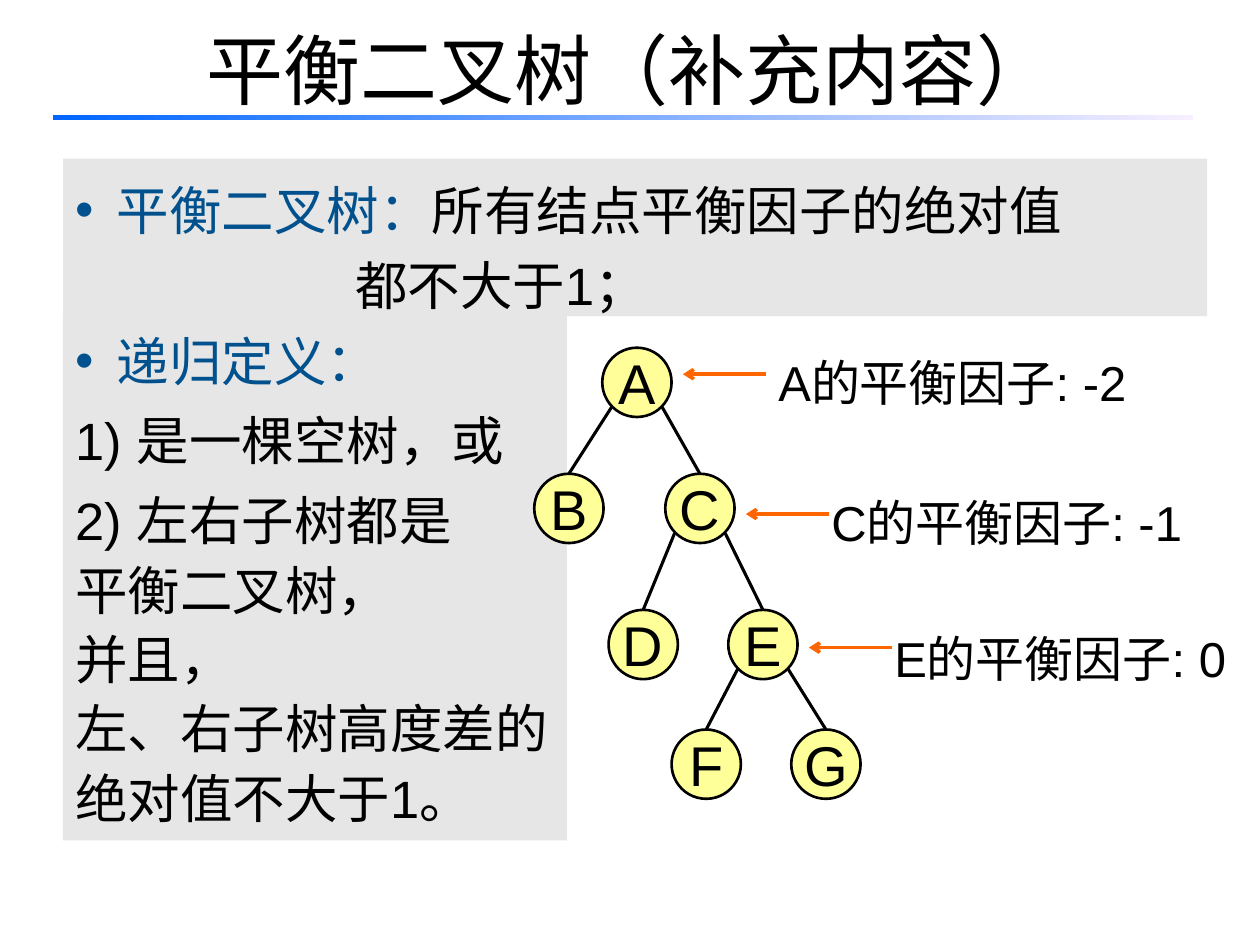
from dataclasses import dataclass

from lxml.etree import SubElement
from pptx import Presentation
from pptx.dml.color import RGBColor
from pptx.enum.shapes import MSO_CONNECTOR as Connector, MSO_SHAPE as Shape
from pptx.enum.text import MSO_ANCHOR as Anchor, MSO_AUTO_SIZE as AutoSize, PP_ALIGN as Align
from pptx.oxml.ns import qn
from pptx.util import Inches, Pt

COLORS = {
    "black": "000000", "term": "00518E", "panel": "E6E6E6", "node": "FFFF99",
    "root": "FFFE98", "arrow": "FF6600", "rule_start": "0066FF", "rule_end": "F7EFFF",
}
LATIN, CJK = "Arial", "Noto Sans CJK SC"
NODE = 0.55


@dataclass
class Para:
    text: str = ""
    term: str = ""
    space_before: float = 0
    indent: float = 0


@dataclass
class Panel:
    left: float
    top: float
    width: float
    height: float
    spacing: float
    paras: list[Para]


@dataclass
class Node:
    name: str
    left: float
    top: float
    parent: str = ""
    color: str = "node"


@dataclass
class Label:
    node: str
    factor: int
    left: float
    top: float
    arrow_y: float


PANELS = [
    Panel(0.5, 2.51, 4, 4.16, 1.1, [
        Para(term="递归定义："),
        Para("1) 是一棵空树，或", space_before=6),
        Para("2) 左右子树都是", space_before=6),
        Para("平衡二叉树，"),
        Para("并且，"),
        Para("左、右子树高度差的绝对值不大于1。"),
    ]),
    Panel(0.5, 1.26, 9.08, 1.25, 1.2, [
        Para("所有结点平衡因子的绝对值", term="平衡二叉树："),
        Para("都不大于1；", indent=2.22),
    ]),
]
NODES = [
    Node("A", 4.78, 2.76, color="root"),
    Node("B", 4.24, 3.76, "A"),
    Node("C", 5.28, 3.76, "A"),
    Node("D", 4.83, 4.84, "C"),
    Node("E", 5.78, 4.84, "C"),
    Node("F", 5.33, 5.79, "E"),
    Node("G", 6.28, 5.79, "E"),
]
LABELS = [
    Label("A", -2, 6.08, 2.56, 2.97),
    Label("C", -1, 6.5, 3.67, 4.08),
    Label("E", 0, 7, 4.75, 5.14),
]


def rgb(name: str) -> RGBColor:
    return RGBColor.from_string(COLORS[name])


def format_run(r, size: float, color: str = "black", latin: str = LATIN) -> None:
    r.font.size = Pt(size)
    r.font.name = latin
    r.font.color.rgb = rgb(color)
    SubElement(r.font._element, qn("a:ea")).set("typeface", CJK)


def add_run(p, text: str, size: float, color: str = "black") -> None:
    r = p.add_run()
    r.text = text
    format_run(r, size, color)


def set_indent(p, left: float, first: float = 0, bullet: bool = False) -> None:
    pPr = p._p.get_or_add_pPr()
    pPr.set("marL", str(Inches(left)))
    pPr.set("indent", str(Inches(first)))
    if bullet:
        SubElement(pPr, qn("a:buFont")).set("typeface", LATIN)
        SubElement(pPr, qn("a:buChar")).set("char", "•")


def add_plain_shape(s, kind, left: float, top: float, width: float, height: float):
    sp = s.shapes.add_shape(kind, Inches(left), Inches(top), Inches(width), Inches(height))
    sp.shadow.inherit = False
    sp.line.fill.background()
    return sp


def add_title(s, text: str) -> None:
    sp = s.shapes.title
    sp.left, sp.top, sp.width, sp.height = Inches(0.5), Inches(-0.08), Inches(9), Inches(1.25)
    tf = sp.text_frame
    tf.text = text
    tf.vertical_anchor = Anchor.MIDDLE
    p = tf.paragraphs[0]
    p.alignment = Align.CENTER
    format_run(p.runs[0], 44, latin=CJK)


def add_title_rule(s) -> None:
    sp = add_plain_shape(s, Shape.RECTANGLE, 0.42, 0.91, 9.05, 0.04)
    sp.fill.gradient()
    sp.fill.gradient_angle = 0
    for stop, name in zip(sp.fill.gradient_stops, ("rule_start", "rule_end")):
        stop.color.rgb = rgb(name)


def add_panel(s, panel: Panel) -> None:
    sp = add_plain_shape(s, Shape.RECTANGLE, panel.left, panel.top, panel.width, panel.height)
    sp.fill.solid()
    sp.fill.fore_color.rgb = rgb("panel")
    tf = sp.text_frame
    tf.word_wrap = True
    tf.vertical_anchor = Anchor.TOP
    for i, para in enumerate(panel.paras):
        p = tf.add_paragraph() if i else tf.paragraphs[0]
        p.alignment = Align.LEFT
        p.line_spacing = panel.spacing
        if para.space_before:
            p.space_before = Pt(para.space_before)
        if para.term:
            set_indent(p, 0.33, -0.33, bullet=True)
            add_run(p, para.term, 30, "term")
        elif para.indent:
            set_indent(p, para.indent)
        if para.text:
            add_run(p, para.text, 30)


def add_line(s, x1: float, y1: float, x2: float, y2: float, color: str, width: float):
    line = s.shapes.add_connector(
        Connector.STRAIGHT, Inches(x1), Inches(y1), Inches(x2), Inches(y2))
    line.line.color.rgb = rgb(color)
    line.line.width = Pt(width)
    SubElement(line._element.spPr, qn("a:effectLst"))
    return line


def add_edge(s, parent: Node, child: Node) -> None:
    side = 0.2 if child.left > parent.left else -0.2
    add_line(s, parent.left + NODE / 2 + side, parent.top + 0.47,
             child.left + NODE / 2, child.top, "black", 1.75)


def add_node(s, node: Node) -> None:
    sp = add_plain_shape(s, Shape.OVAL, node.left, node.top, NODE, NODE)
    sp.fill.solid()
    sp.fill.fore_color.rgb = rgb(node.color)
    sp.line.color.rgb = rgb("black")
    sp.line.width = Pt(1.5)
    tf = sp.text_frame
    tf.word_wrap = False
    tf.vertical_anchor = Anchor.MIDDLE
    p = tf.paragraphs[0]
    p.alignment = Align.CENTER
    add_run(p, node.name, 32)


def add_label(s, label: Label, node: Node) -> None:
    """Write a node's balance factor and point an arrow at the node."""
    tip = node.left + 0.64
    arrow = add_line(s, tip + 0.66, label.arrow_y, tip, label.arrow_y, "arrow", 2)
    SubElement(arrow.line._get_or_add_ln(), qn("a:tailEnd")).set("type", "arrow")
    box = s.shapes.add_textbox(
        Inches(label.left), Inches(label.top), Inches(3.6), Inches(0.76))
    tf = box.text_frame
    tf.word_wrap = True
    tf.auto_size = AutoSize.SHAPE_TO_FIT_TEXT
    p = tf.paragraphs[0]
    p.line_spacing = 1.4
    add_run(p, f"{label.node}的平衡因子: {label.factor}", 28)


def main() -> None:
    prs = Presentation()
    prs.slide_width, prs.slide_height = Inches(10), Inches(7.5)
    s = prs.slides.add_slide(prs.slide_layouts[5])
    add_title(s, "平衡二叉树（补充内容）")
    add_title_rule(s)
    for panel in PANELS:
        add_panel(s, panel)
    nodes = {node.name: node for node in NODES}
    for node in NODES:
        if node.parent:
            add_edge(s, nodes[node.parent], node)
    for node in NODES:
        add_node(s, node)
    for label in LABELS:
        add_label(s, label, nodes[label.node])
    prs.save("out.pptx")


if __name__ == "__main__":
    main()
